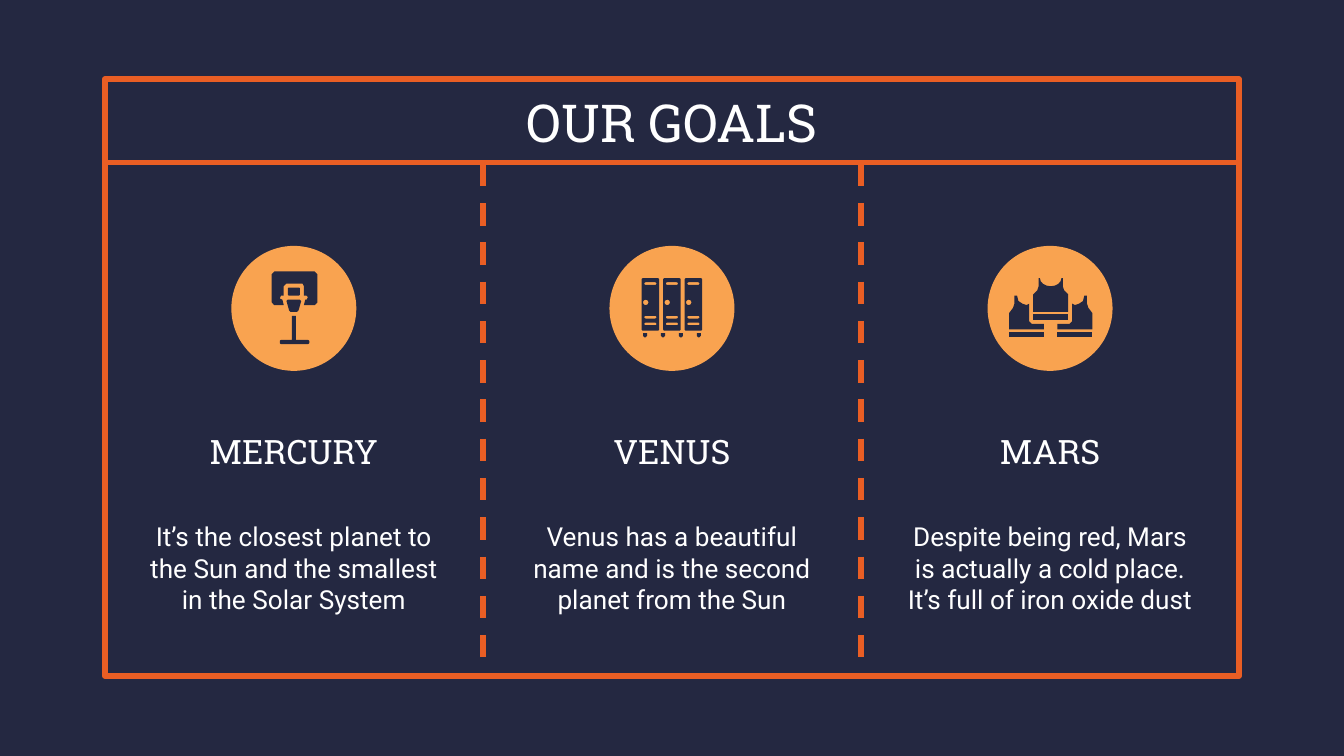
from dataclasses import dataclass
from math import cos, pi, sin

from lxml.etree import SubElement
from pptx import Presentation
from pptx.dml.color import RGBColor
from pptx.enum.dml import MSO_LINE
from pptx.enum.shapes import MSO_CONNECTOR, MSO_SHAPE
from pptx.enum.text import MSO_ANCHOR, PP_ALIGN
from pptx.oxml.ns import qn
from pptx.util import Inches, Pt


@dataclass(frozen=True)
class Theme:
    navy: RGBColor = RGBColor.from_string("242841")
    orange: RGBColor = RGBColor.from_string("E95E24")
    amber: RGBColor = RGBColor.from_string("F9A350")
    white: RGBColor = RGBColor.from_string("FFFFFF")
    heading_font: str = "Roboto Slab"
    body_font: str = "Roboto"
    title_size: int = 28
    heading_size: int = 18
    body_size: int = 14
    line_width: int = 3


@dataclass(frozen=True)
class Box:
    left: float
    top: float
    width: float
    height: float

    def inside(self, x, y, width, height):
        return Box(self.left + x, self.top + y, width, height)

    def lengths(self):
        return [Inches(value) for value in (self.left, self.top, self.width, self.height)]


THEME = Theme()


def add_text(slide, box, text, *, size, font=THEME.heading_font, space_after=0):
    text_box = slide.shapes.add_textbox(*box.lengths())
    frame = text_box.text_frame
    frame.word_wrap = True
    frame.vertical_anchor = MSO_ANCHOR.MIDDLE
    frame.margin_left = frame.margin_right = Inches(0.1)
    frame.margin_top = frame.margin_bottom = Inches(0.1)
    paragraph = frame.paragraphs[0]
    paragraph.text = text
    paragraph.alignment = PP_ALIGN.CENTER
    paragraph.space_after = Pt(space_after)
    paragraph.font.name = font
    paragraph.font.size = Pt(size)
    paragraph.font.color.rgb = THEME.white


def add_line(slide, start, end, dash=None):
    points = [Inches(value) for value in (*start, *end)]
    connector = slide.shapes.add_connector(MSO_CONNECTOR.STRAIGHT, *points)
    connector.line.color.rgb = THEME.orange
    connector.line.width = Pt(THEME.line_width)
    if dash:
        connector.line.dash_style = dash
    SubElement(connector._element.spPr, qn("a:effectLst"))


def add_outline(group, box, *contours):
    placed = [
        [(Inches(box.left + x), Inches(box.top + y)) for x, y in contour]
        for contour in contours
    ]
    builder = group.shapes.build_freeform(*placed[0][0])
    builder.add_line_segments(placed[0][1:])
    for contour in placed[1:]:
        builder.move_to(*contour[0])
        builder.add_line_segments(contour[1:])
    shape = builder.convert_to_shape()
    shape.shadow.inherit = False
    shape.fill.solid()
    shape.fill.fore_color.rgb = THEME.navy
    shape.line.fill.background()


def rounded(x, y, width, height, radius=0.0):
    corners = [
        (x + width - radius, y + height - radius),
        (x + radius, y + height - radius),
        (x + radius, y + radius),
        (x + width - radius, y + radius),
    ]
    steps = 4 if radius else 0
    return [
        (
            center_x + radius * cos((quarter + step / 4) * pi / 2),
            center_y + radius * sin((quarter + step / 4) * pi / 2),
        )
        for quarter, (center_x, center_y) in enumerate(corners)
        for step in range(steps + 1)
    ]


def hoop_icon(group, box):
    backboard = [
        (0.32, 0.19), (0.3, 0.21), (0.3, 0.42), (0.32, 0.44), (0.39, 0.44),
        (0.38, 0.4), (0.36, 0.39), (0.37, 0.37), (0.39, 0.37), (0.39, 0.3),
        (0.41, 0.28), (0.53, 0.28), (0.54, 0.3), (0.54, 0.37), (0.56, 0.37),
        (0.57, 0.38), (0.56, 0.4), (0.55, 0.4), (0.54, 0.44), (0.62, 0.44),
        (0.64, 0.42), (0.64, 0.21), (0.62, 0.19),
    ]
    net = [
        (0.42, 0.4), (0.51, 0.4), (0.52, 0.41), (0.5, 0.48), (0.49, 0.49),
        (0.44, 0.49), (0.43, 0.48), (0.41, 0.41),
    ]
    add_outline(group, box, backboard)
    add_outline(group, box, rounded(0.42, 0.31, 0.09, 0.06, 0.01))
    add_outline(group, box, net)
    add_outline(group, box, rounded(0.45, 0.52, 0.03, 0.18), rounded(0.36, 0.7, 0.22, 0.03, 0.01))


def locker_icon(group, box):
    for locker in range(3):
        x = 0.24 + 0.16 * locker
        slots = [rounded(x + 0.02, y, 0.09, 0.02, 0.01) for y in (0.27, 0.52, 0.57)]
        door = rounded(x, 0.24, 0.13, 0.39, 0.01)
        knob = rounded(x + 0.01, 0.4, 0.04, 0.04, 0.02)
        add_outline(group, box, door, knob, *slots)
    for foot in range(4):
        x = 0.25 + 0.4 * foot / 3
        add_outline(group, box, [
            (x, 0.65), (x, 0.67), (x + 0.01, 0.68),
            (x + 0.02, 0.68), (x + 0.03, 0.67), (x + 0.03, 0.65),
        ])


def vest_icon(group, box):
    center = 0.47
    neckline = [
        (center + 0.08 * cos(step * pi / 8), 0.24 + 0.06 * sin(step * pi / 8))
        for step in range(9)
    ]
    left_side = [(0.38, 0.24), (0.38, 0.3), (0.37, 0.33), (0.34, 0.36), (0.34, 0.49)]
    back_vest = [
        (0.2, 0.37), (0.2, 0.43), (0.19, 0.46), (0.16, 0.5), (0.16, 0.62),
        (0.42, 0.62), (0.42, 0.58), (0.33, 0.58), (0.31, 0.56), (0.31, 0.43),
        (0.29, 0.44), (0.26, 0.43), (0.23, 0.41), (0.22, 0.37),
    ]

    def mirror(points):
        return [(2 * center - x, y) for x, y in points]

    add_outline(group, box, left_side + mirror(left_side)[::-1] + neckline)
    add_outline(group, box, back_vest)
    add_outline(group, box, mirror(back_vest))
    for x, y in ((0.34, 0.51), (0.16, 0.64), (0.52, 0.64)):
        add_outline(group, box, rounded(x, y, 0.26, 0.04))


def add_frame(slide, box, title, header_height, columns):
    border = slide.shapes.add_shape(MSO_SHAPE.RECTANGLE, *box.lengths())
    border.shadow.inherit = False
    border.fill.background()
    border.line.color.rgb = THEME.orange
    border.line.width = Pt(THEME.line_width)
    SubElement(border._element.spPr.find(qn("a:ln")), qn("a:round"))
    right, bottom = box.left + box.width, box.top + box.height
    header_bottom = box.top + header_height
    add_line(slide, (box.left + 0.02, header_bottom), (right - 0.02, header_bottom))
    for column in range(1, columns):
        x = box.left + box.width * column / columns
        add_line(slide, (x, header_bottom + 0.01), (x, bottom), dash=MSO_LINE.DASH)
    add_text(slide, box.inside(0, 0, box.width, header_height + 0.01), title, size=THEME.title_size)


def add_goal(slide, box, heading, description, draw_icon):
    diameter, text_width = 0.93, 2.34
    badge = box.inside((box.width - diameter) / 2, 0.62, diameter, diameter)
    circle = slide.shapes.add_shape(MSO_SHAPE.OVAL, *badge.lengths())
    circle.shadow.inherit = False
    circle.fill.solid()
    circle.fill.fore_color.rgb = THEME.amber
    circle.line.fill.background()
    draw_icon(slide.shapes.add_group_shape(), badge)
    text_left = (box.width - text_width) / 2
    add_text(slide, box.inside(text_left, 1.87, text_width, 0.55), heading,
             size=THEME.heading_size, space_after=12)
    add_text(slide, box.inside(text_left, 2.42, text_width, 1.19), description,
             size=THEME.body_size, font=THEME.body_font)


def main():
    presentation = Presentation()
    presentation.slide_width = Inches(10)
    presentation.slide_height = Inches(10) * 9 // 16
    slide = presentation.slides.add_slide(presentation.slide_layouts[6])
    slide.background.fill.solid()
    slide.background.fill.fore_color.rgb = THEME.navy
    goals = [
        ("MERCURY", "It’s the closest planet to the Sun and the smallest in the Solar System", hoop_icon),
        ("VENUS", "Venus has a beautiful name and is the second planet from the Sun", locker_icon),
        ("MARS", "Despite being red, Mars is actually a cold place. It’s full of iron oxide dust", vest_icon),
    ]
    frame, header_height = Box(0.78, 0.59, 8.44, 4.44), 0.62
    add_frame(slide, frame, "OUR GOALS", header_height, len(goals))
    width = frame.width / len(goals)
    for index, goal in enumerate(goals):
        column = frame.inside(index * width, header_height, width, frame.height - header_height)
        add_goal(slide, column, *goal)
    presentation.save("out.pptx")


if __name__ == "__main__":
    main()
